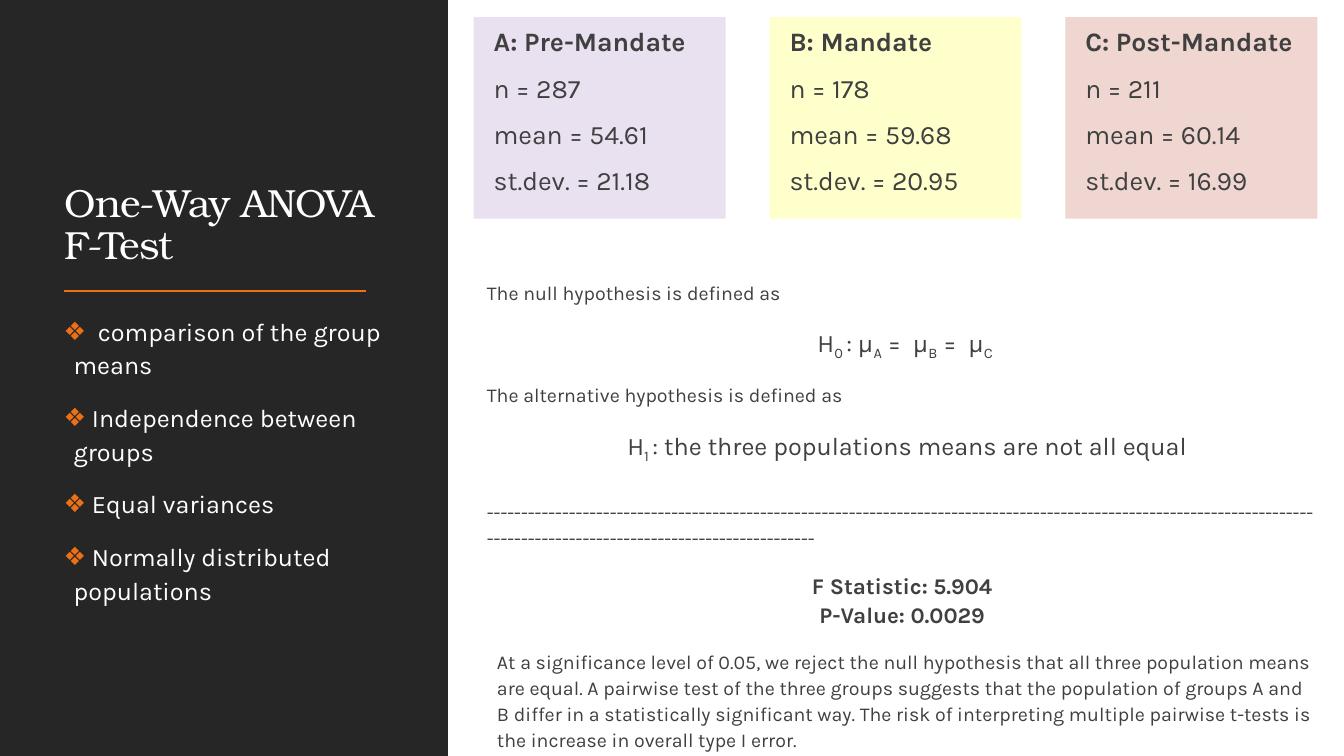
from dataclasses import dataclass, field

import pptx
import pptx.dml.color
import pptx.enum.shapes
import pptx.enum.text
import pptx.oxml.ns
import pptx.oxml.xmlchemy
import pptx.util
from lxml import etree

Pt = pptx.util.Pt
qn = pptx.oxml.ns.qn
ALIGN = pptx.enum.text.PP_ALIGN
ANCHOR = pptx.enum.text.MSO_ANCHOR


@dataclass(frozen=True)
class Theme:
    dark: str = "262626"
    white: str = "FFFFFF"
    accent: str = "EC7016"
    ink: str = "404040"
    heading: str = "TeX Gyre Bonum"
    text: str = "Karla"
    title_size: float = 28
    card_size: float = 19
    large: float = 18
    result: float = 16
    small: float = 14


THEME = Theme()


@dataclass
class Run:
    text: str
    size: float
    color: str = THEME.ink
    font: str = THEME.text
    bold: bool = False
    sub: bool = False
    spacing: int = 0


@dataclass
class Para:
    runs: list[Run]
    align: ALIGN = ALIGN.LEFT
    margin: float = 0
    bullet: str = ""
    spacing: dict = field(default_factory=dict)


@dataclass
class Group:
    name: str
    n: int
    mean: str
    sd: str
    color: str
    alpha: int


def rgb(value: str) -> pptx.dml.color.RGBColor:
    return pptx.dml.color.RGBColor.from_string(value)


def place(sp, left: float, top: float, width: float, height: float) -> None:
    box = {"left": left, "top": top, "width": width, "height": height}
    for name, value in box.items():
        setattr(sp, name, Pt(value))


def set_frame(sp, side: float, anchor: ANCHOR = ANCHOR.TOP) -> None:
    options = {
        "word_wrap": True,
        "auto_size": pptx.enum.text.MSO_AUTO_SIZE.NONE,
        "vertical_anchor": anchor,
        "margin_left": Pt(side), "margin_right": Pt(side),
        "margin_top": Pt(3.6), "margin_bottom": Pt(3.6),
    }
    for name, value in options.items():
        setattr(sp.text_frame, name, value)


def add_run(p, run: Run) -> None:
    for i, line in enumerate(run.text.split("\n")):
        if i:
            p.add_line_break()
        r = p.add_run()
        r.text = line
        values = {"name": run.font, "size": Pt(run.size), "bold": run.bold}
        for name, value in values.items():
            setattr(r.font, name, value)
        r.font.color.rgb = rgb(run.color)
        extras = {"baseline": -25000 if run.sub else 0, "spc": run.spacing}
        for name, value in extras.items():
            if value:
                r._r.get_or_add_rPr().set(name, str(value))


def write(tf, paras: list[Para]) -> None:
    for i, para in enumerate(paras):
        p = tf.add_paragraph() if i else tf.paragraphs[0]
        values = {"alignment": para.align, "line_spacing": 1.1,
                  "space_before": Pt(12), "space_after": Pt(2)}
        for name, value in (values | para.spacing).items():
            setattr(p, name, value)
        pPr = p._p.get_or_add_pPr()
        pPr.set("marL", str(Pt(para.margin)))
        pPr.set("indent", str(-Pt(para.margin) if para.bullet else 0))
        if para.bullet:
            color = etree.SubElement(pPr, qn("a:buClr"))
            etree.SubElement(color, qn("a:srgbClr")).set("val", THEME.accent)
            etree.SubElement(pPr, qn("a:buChar")).set("char", para.bullet)
        for run in para.runs:
            add_run(p, run)


def add_rect(s, color: str, box: tuple, alpha: int = 100):
    kind = pptx.enum.shapes.MSO_SHAPE.RECTANGLE
    sp = s.shapes.add_shape(kind, *map(Pt, box))
    sp.shadow.inherit = False
    sp.fill.solid()
    sp.fill.fore_color.rgb = rgb(color)
    sp.line.fill.background()
    if alpha < 100:
        clr = sp._element.spPr.find(".//" + qn("a:srgbClr"))
        etree.SubElement(clr, qn("a:alpha")).set("val", str(alpha * 1000))
    return sp


def add_card(s, group: Group, left: float) -> None:
    sp = add_rect(s, group.color, (left, 12.2, 180, 144), group.alpha)
    set_frame(sp, 7.2)
    lines = [group.name, f"n = {group.n}", f"mean = {group.mean}", f"st.dev. = {group.sd}"]
    write(sp.text_frame, [
        Para([Run(line, THEME.card_size, bold=i == 0)], margin=7.2,
             spacing={"space_before": Pt(6)})
        for i, line in enumerate(lines)])


def formula(*parts: str) -> list[Run]:
    """Every second part is a subscript."""
    return [Run(part, THEME.large, sub=i % 2 == 1) for i, part in enumerate(parts)]


BULLETS = ["  comparison of the group means", " Independence between groups",
           " Equal variances", " Normally distributed populations"]
GROUPS = [Group("A: Pre-Mandate", 287, "54.61", "21.18", "7030A0", 15),
          Group("B: Mandate", 178, "59.68", "20.95", "FFFF00", 20),
          Group("C: Post-Mandate", 211, "60.14", "16.99", "B23214", 20)]
CONCLUSION = (
    "At a significance level of 0.05, we reject the null hypothesis that all three "
    "population means are equal. A pairwise test of the three groups suggests that the "
    "population of groups A and B differ in a statistically significant way. The risk of "
    "interpreting multiple pairwise t-tests is the increase in overall type I error.")
WIDE = {"space_after": Pt(12)}
FINDINGS = [
    Para([Run("The null hypothesis is defined as", THEME.small)]),
    Para(formula(" H", "0 ", ": µ", "A", " =  µ", "B", " =  µ", "C"), ALIGN.CENTER),
    Para([Run("The alternative hypothesis is defined as", THEME.small)]),
    Para(formula("H", "1 ", ": the three populations means are not all equal"),
         ALIGN.CENTER, 7.2, spacing=WIDE),
    Para([Run("-" * 169, THEME.small)]),
    Para([Run("F Statistic: 5.904\nP-Value: 0.0029", THEME.result, bold=True)], ALIGN.CENTER),
    Para([Run(CONCLUSION, THEME.small)], margin=7.2, spacing=WIDE),
]


def main() -> None:
    prs = pptx.Presentation()
    prs.slide_width, prs.slide_height = Pt(960), Pt(540)
    s = prs.slides.add_slide(prs.slide_layouts[1])
    title, body = s.shapes.title, s.placeholders[1]

    # Dark side panel, behind the placeholders
    panel = add_rect(s, THEME.dark, (0, 0, 320, 540))
    title._element.addprevious(panel._element)

    # Title and rule
    place(title, 38.9, 41, 242.6, 154.1)
    set_frame(title, 7.2, ANCHOR.BOTTOM)
    heading = Run("One-Way ANOVA F-Test", THEME.title_size, THEME.white,
                  THEME.heading, spacing=-50)
    write(title.text_frame, [Para([heading], spacing={
        "line_spacing": 0.9, "space_before": Pt(0), "space_after": Pt(0)})])
    rule = s.shapes.add_connector(pptx.enum.shapes.MSO_CONNECTOR.STRAIGHT,
                                  Pt(45.4), Pt(208.1), Pt(261.4), Pt(208.1))
    rule.line.color.rgb = rgb(THEME.accent)
    rule.line.width = Pt(1.5)
    etree.SubElement(rule._element.spPr, qn("a:effectLst"))

    # Assumptions
    place(body, 45.4, 220.3, 236.9, 251.3)
    set_frame(body, 0)
    write(body.text_frame, [Para([Run(text, THEME.large, THEME.white)], margin=7.2, bullet="❖")
                            for text in BULLETS])

    # Group cards
    for i, group in enumerate(GROUPS):
        add_card(s, group, 338.4 + i * 211.3)

    # Hypotheses and result
    findings = s.shapes.add_textbox(Pt(347.8), Pt(195.1), Pt(593.3), Pt(326.9))
    set_frame(findings, 0)
    write(findings.text_frame, FINDINGS)

    prs.save("out.pptx")


if __name__ == "__main__":
    main()
